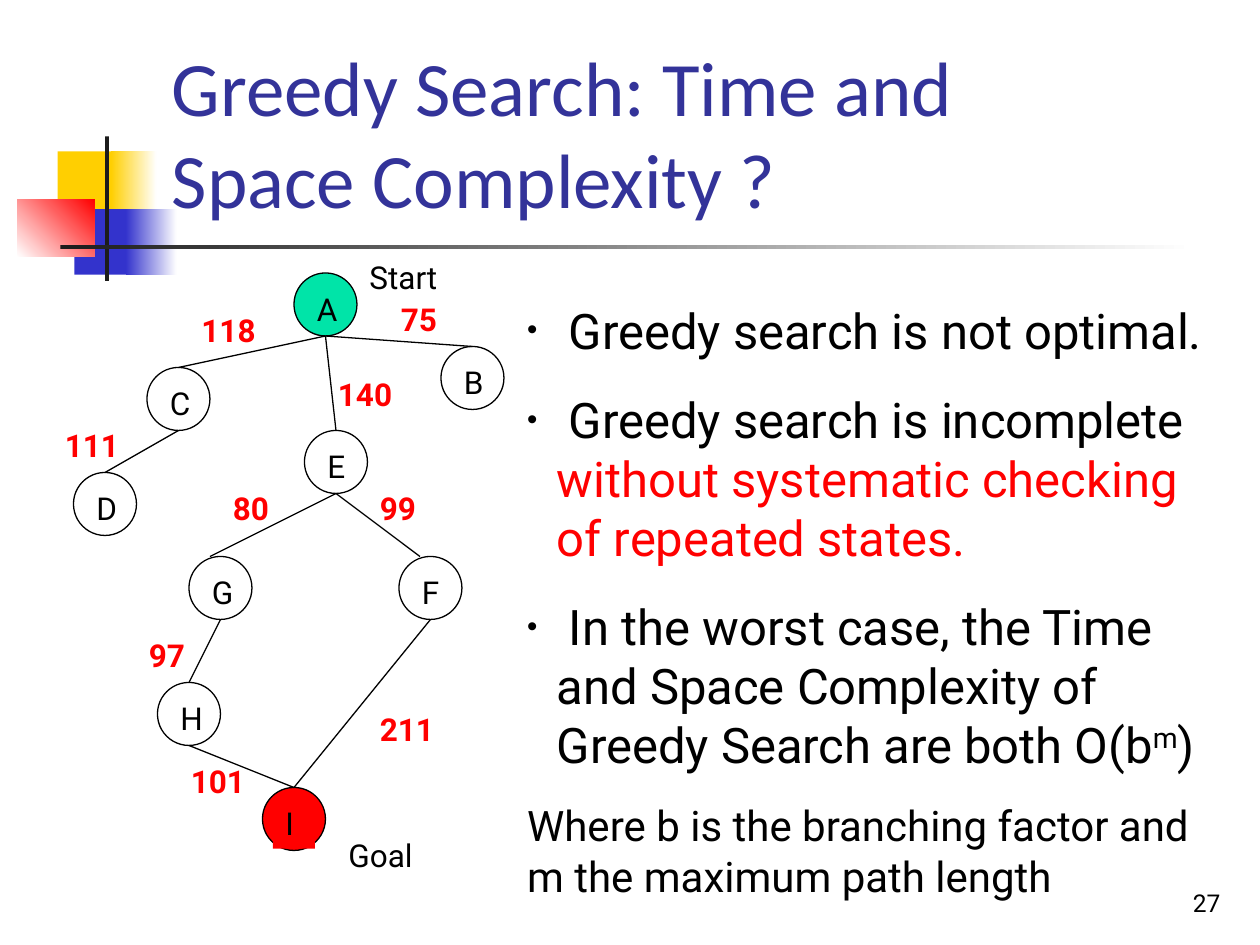
"""Builds the slide on time and space complexity of greedy search."""
from lxml.etree import SubElement
from pptx import Presentation
from pptx.dml.color import RGBColor
from pptx.enum.shapes import MSO_CONNECTOR as Connector, MSO_SHAPE as Shape
from pptx.enum.text import MSO_ANCHOR as Anchor, MSO_AUTO_SIZE as AutoSize, PP_ALIGN as Align
from pptx.oxml.ns import qn
from pptx.util import Pt

COLORS = {
    "white": "FFFFFF", "black": "000000", "red": "FF0000", "green": "00E4A8",
    "yellow": "FFCF01", "blue": "3333CC", "ink": "1C1C1C", "title": "333399",
}
TITLE = "Greedy Search: Time and \vSpace Complexity ?"
PAGE_NUMBER = "27"
DECORATION = [
    ((33, 86.5, 34.5, 37.5), ["yellow"], 0),
    ((63.5, 86.5, 26, 37.5), ["yellow", "white"], 0),
    ((42.5, 119.5, 33, 37.5), ["blue"], 0),
    ((72, 119.5, 29, 37.5), ["blue", "white"], 0),
    ((10, 113.75, 44, 33), ["white", "red"], 45),
    ((60, 78, 2.25, 82.5), ["ink"], 0),
    ((34.5, 140, 648, 2.5), ["ink", "white"], 0),
]
NODES = {
    "A": (168, 156), "B": (252, 198), "C": (84, 210), "D": (42, 270), "E": (174, 246),
    "F": (228, 318), "G": (108, 318), "H": (90, 390), "I": (150, 450),
}
NODE_FILLS = {"A": "green", "I": "red"}
LABEL_FILLS = {"I": "red"}
EDGES = [
    ("A", "B", 0, "75", (222, 168, 48)),
    ("A", "C", 0, "118", (108, 174, 60)),
    ("A", "E", 0, "140", (186, 211, 60)),
    ("C", "D", 0, "111", (30, 240, 60)),
    ("E", "G", -6, "80", (126, 276, 48)),
    ("E", "F", -6, "99", (210, 276, 48)),
    ("G", "H", 0, "97", (78, 360, 48)),
    ("H", "I", 0, "101", (102, 432, 66)),
    ("F", "I", 0, "211", (210, 402, 60)),
]
CAPTIONS = [("Start", (204, 144, 96)), ("Goal", (192, 474, 96))]
FINDINGS = [
    (True, 28, 0, [(" Greedy search is not optimal.", "black", False)]),
    (True, 28, 17.5, [(" Greedy search is incomplete ", "black", False),
                      ("without systematic checking of repeated states.", "red", False)]),
    (True, 28, 17.5, [(" In the worst case, the Time and Space Complexity of Greedy Search are both O(b",
                       "black", False),
                      ("m", "black", True), (")", "black", False)]),
    (False, 24, 15, [("Where b is the branching factor and m the maximum path length", "black", False)]),
]
DIAMETER, LABEL_INSET, LABEL_HEIGHT = 36, 6, 29


def rgb(color):
    return RGBColor.from_string(COLORS[color])


def place(item, box):
    item.left, item.top, item.width, item.height = map(Pt, box)


def style(run, size, color="black", bold=False, font="Roboto"):
    run.font.name, run.font.size, run.font.bold = font, Pt(size), bold
    run.font.color.rgb = rgb(color)


def add_label(shapes, text, box, color="black", bold=False, size=18):
    label = shapes.add_textbox(*map(Pt, box))
    label.text_frame.word_wrap = True
    label.text_frame.text = text
    style(label.text_frame.paragraphs[0].runs[0], size, color, bold)
    return label


def add_decoration(shapes, box, fills, angle):
    block = shapes.add_shape(Shape.RECTANGLE, *map(Pt, box))
    block.shadow.inherit = False
    block.line.fill.background()
    if len(fills) == 1:
        block.fill.solid()
        block.fill.fore_color.rgb = rgb(fills[0])
        return
    block.fill.gradient()
    block.fill.gradient_angle = angle
    for stop, color in zip(block.fill.gradient_stops, fills):
        stop.color.rgb = rgb(color)


def add_node(shapes, name, left, top):
    group = shapes.add_group_shape().shapes
    circle = group.add_shape(Shape.OVAL, *map(Pt, (left, top, DIAMETER, DIAMETER)))
    circle.shadow.inherit = False
    circle.line.color.rgb = rgb("black")
    circle.line.width = Pt(0.75)
    label_box = (left + LABEL_INSET, top + LABEL_INSET, DIAMETER - 2 * LABEL_INSET, LABEL_HEIGHT)
    label = add_label(group, name, label_box)
    for part, fills in ((circle, NODE_FILLS), (label, LABEL_FILLS)):
        if name in fills:
            part.fill.solid()
            part.fill.fore_color.rgb = rgb(fills[name])
        else:
            part.fill.background()


def add_edge(shapes, parent, child, shift):
    (x1, y1), (x2, y2) = NODES[parent], NODES[child]
    radius = DIAMETER / 2
    ends = (x1 + radius, y1 + DIAMETER, x2 + radius + shift, y2)
    edge = shapes.add_connector(Connector.STRAIGHT, *map(Pt, ends))
    edge.line.color.rgb = rgb("black")
    edge.line.width = Pt(0.75)
    SubElement(edge._element.spPr, qn("a:effectLst"))


def set_bullet(paragraph, bulleted):
    properties = paragraph._p.get_or_add_pPr()
    indent = Pt(17) if bulleted else 0
    properties.set("marL", str(indent))
    properties.set("indent", str(-indent))
    if bulleted:
        color = SubElement(properties, qn("a:buClr"))
        SubElement(color, qn("a:srgbClr"), val=COLORS["black"])
        SubElement(properties, qn("a:buSzPct"), val="60000")
        SubElement(properties, qn("a:buChar"), char="•")
    else:
        SubElement(properties, qn("a:buNone"))


def fill_findings(frame):
    frame.auto_size = AutoSize.NONE
    for index, (bulleted, size, space, pieces) in enumerate(FINDINGS):
        paragraph = frame.add_paragraph() if index else frame.paragraphs[0]
        set_bullet(paragraph, bulleted)
        paragraph.space_before = Pt(space)
        for text, color, raised in pieces:
            run = paragraph.add_run()
            run.text = text
            style(run, size, color)
            if raised:
                run.font._element.set("baseline", "30000")


def main():
    deck = Presentation()
    deck.slide_width, deck.slide_height = Pt(720), Pt(540)
    slide = deck.slides.add_slide(deck.slide_layouts[1])
    shapes = slide.shapes
    title, findings = slide.placeholders

    for box, fills, angle in DECORATION:
        add_decoration(shapes, box, fills, angle)

    place(title, (91, 16.5, 613.5, 115))
    title.text_frame.text = TITLE
    title.text_frame.auto_size = AutoSize.NONE
    title.text_frame.vertical_anchor = Anchor.BOTTOM
    heading = title.text_frame.paragraphs[0]
    heading.alignment = Align.LEFT
    for run in heading.runs:
        style(run, 44, "title", font="Calibri")
    shapes._spTree.append(title._element)

    for name, corner in NODES.items():
        add_node(shapes, name, *corner)
    for parent, child, shift, cost, (left, top, width) in EDGES:
        add_edge(shapes, parent, child, shift)
        add_label(shapes, cost, (left, top, width, LABEL_HEIGHT), "red", True)
    for caption, (left, top, width) in CAPTIONS:
        add_label(shapes, caption, (left, top, width, LABEL_HEIGHT))

    place(findings, (294, 168, 408, 384))
    fill_findings(findings.text_frame)

    number = add_label(shapes, PAGE_NUMBER, (554.5, 492, 150, 36), size=14)
    number.text_frame.vertical_anchor = Anchor.BOTTOM
    number.text_frame.paragraphs[0].alignment = Align.RIGHT

    deck.save("out.pptx")


if __name__ == "__main__":
    main()
